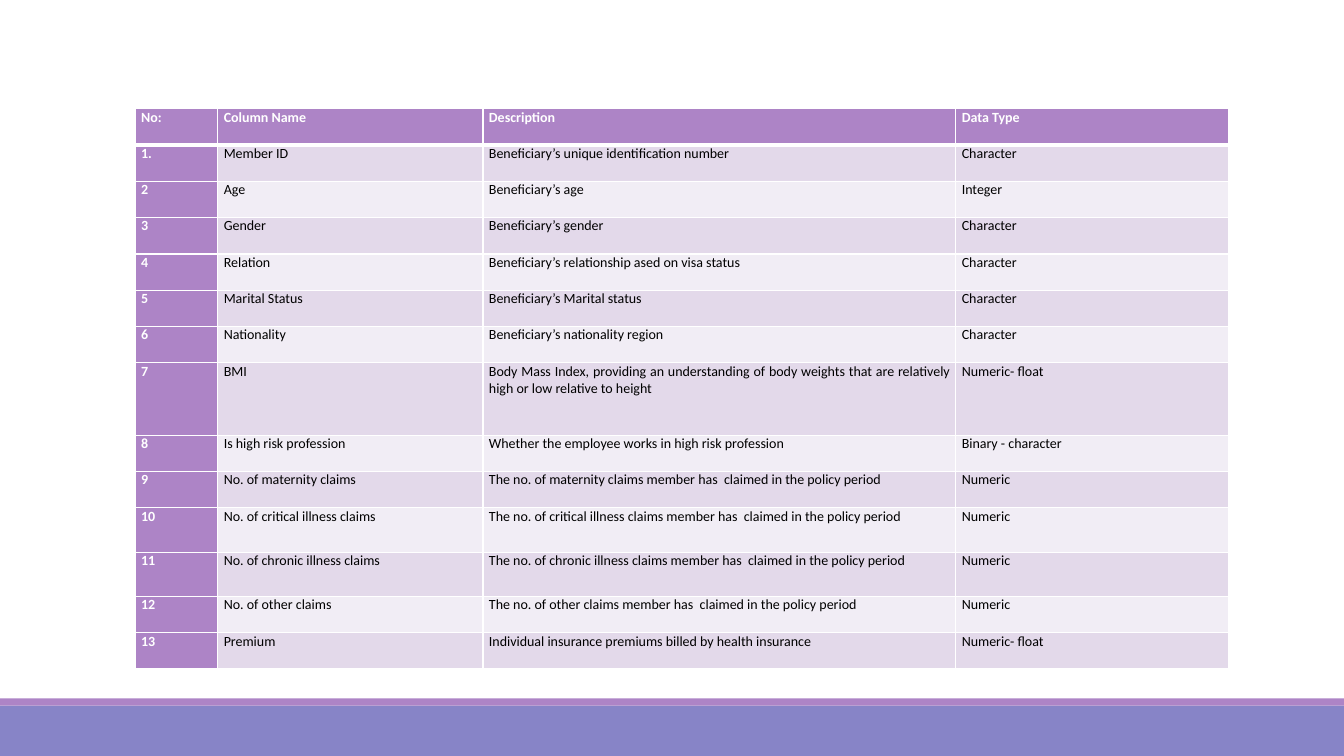
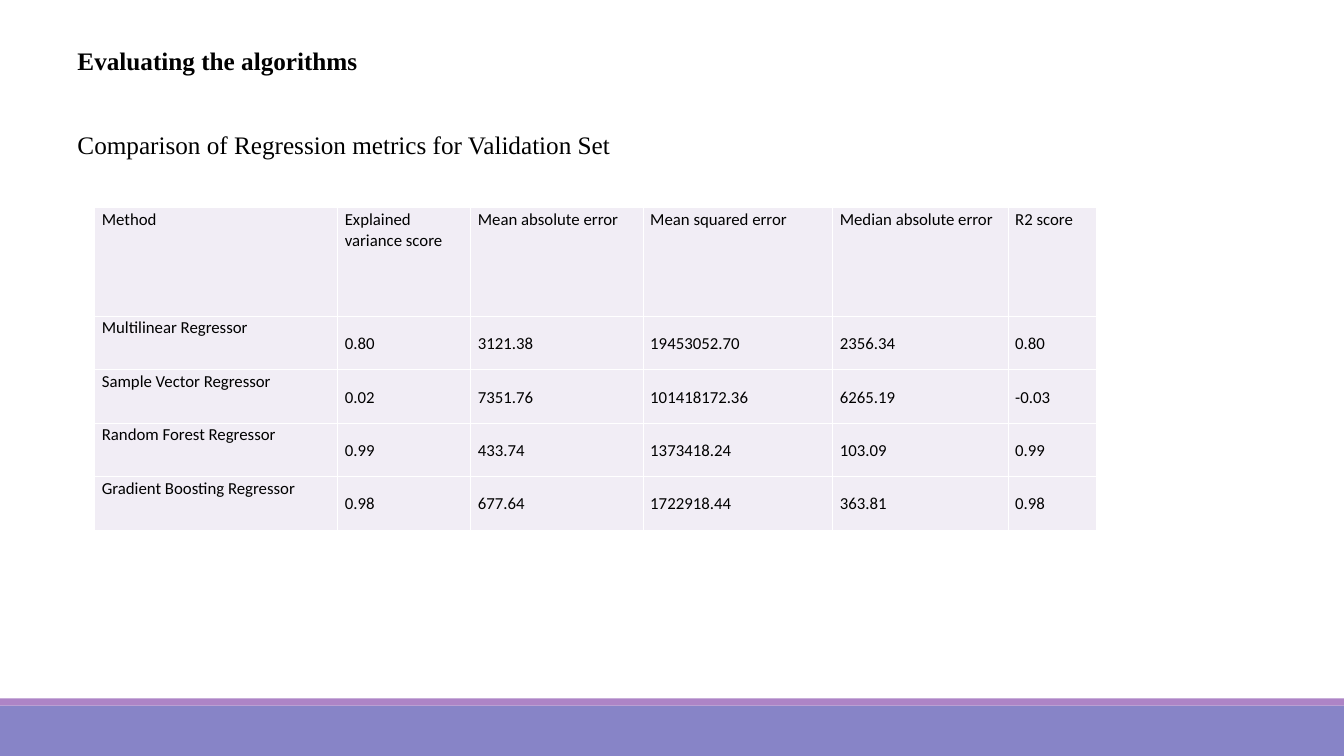
from dataclasses import dataclass

from lxml.etree import SubElement
from pptx import Presentation
from pptx.dml.color import RGBColor
from pptx.enum.shapes import MSO_SHAPE
from pptx.enum.text import MSO_ANCHOR, MSO_AUTO_SIZE, PP_ALIGN
from pptx.oxml.ns import qn
from pptx.util import Inches, Pt


@dataclass(frozen=True)
class Theme:
    violet: str = "AD84C6"
    indigo: str = "8784C7"
    lilac: str = "E3D9EA"
    pale: str = "F1EDF5"
    white: str = "FFFFFF"
    black: str = "000000"
    body_font: str = "Calibri"
    heading_font: str = "Times New Roman"
    heading_size: int = 18
    metrics_size: int = 12
    dictionary_size: int = 10
    grid_width: int = 1
    header_rule: int = 3


THEME = Theme()
SLIDE_WIDTH, SLIDE_HEIGHT = 13.33, 7.5
FOOTER_BANDS = [(7, 0.5, THEME.indigo), (6.93, 0.07, THEME.violet)]

DATA_DICTIONARY = [
    ("No:", "Column Name", "Description", "Data Type"),
    ("1.", "Member ID", "Beneficiary’s unique identification number", "Character"),
    ("2", "Age", "Beneficiary’s age", "Integer"),
    ("3", "Gender", "Beneficiary’s gender", "Character"),
    ("4", "Relation", "Beneficiary’s relationship ased on visa status", "Character"),
    ("5", "Marital Status", "Beneficiary’s Marital status", "Character"),
    ("6", "Nationality", "Beneficiary’s nationality region", "Character"),
    ("7", "BMI", "Body Mass Index, providing an understanding of body weights "
     "that are relatively high or low relative to height", "Numeric- float"),
    ("8", "Is high risk profession",
     "Whether the employee works in high risk profession", "Binary - character"),
    ("9", "No. of maternity claims",
     "The no. of maternity claims member has  claimed in the policy period", "Numeric"),
    ("10", "No. of critical illness claims",
     "The no. of critical illness claims member has  claimed in the policy period", "Numeric"),
    ("11", "No. of chronic illness claims",
     "The no. of chronic illness claims member has  claimed in the policy period", "Numeric"),
    ("12", "No. of other claims",
     "The no. of other claims member has  claimed in the policy period", "Numeric"),
    ("13", "Premium",
     "Individual insurance premiums billed by health insurance", "Numeric- float"),
]
DICTIONARY_COLUMNS = [0.82, 2.63, 4.69, 2.71]
DICTIONARY_ROW = 0.36
DICTIONARY_TALL_ROWS = {7: 0.72, 10: 0.44, 11: 0.44}

HEADINGS = [
    ("Evaluating the algorithms", 0.4, 3.89, True),
    ("Comparison of Regression metrics for Validation Set", 1.23, 6.19, False),
]
METRICS = [
    ("Method", "Explained variance score", "Mean absolute error",
     "Mean squared error", "Median absolute error", "R2 score"),
    ("Multilinear Regressor", "0.80", "3121.38", "19453052.70", "2356.34", "0.80"),
    ("Sample Vector Regressor", "0.02", "7351.76", "101418172.36", "6265.19", "-0.03"),
    ("Random Forest Regressor", "0.99", "433.74", "1373418.24", "103.09", "0.99"),
    ("Gradient Boosting Regressor", "0.98", "677.64", "1722918.44", "363.81", "0.98"),
]
METRICS_COLUMNS = [2.41, 1.32, 1.71, 1.88, 1.74, 0.88]
METRICS_ROWS = [1.08] + [0.53] * 4


def color(value):
    return RGBColor.from_string(value)


def style_runs(para, font, size, ink, bold):
    for span in para.runs:
        span.font.name = font
        span.font.size = Pt(size)
        span.font.bold = bold
        span.font.color.rgb = color(ink)


def add_page(deck):
    """Add a blank slide with the two footer bands."""
    page = deck.slides.add_slide(deck.slide_layouts[6])
    for top, height, fill in FOOTER_BANDS:
        band = page.shapes.add_shape(MSO_SHAPE.RECTANGLE, 0, Inches(top),
                                     deck.slide_width, Inches(height))
        band.shadow.inherit = False
        band.fill.solid()
        band.fill.fore_color.rgb = color(fill)
        band.line.fill.background()
    return page


def add_heading(page, text, top, width, bold):
    box = page.shapes.add_textbox(Inches(0.67), Inches(top), Inches(width), Inches(0.4))
    frame = box.text_frame
    frame.word_wrap = True
    frame.auto_size = MSO_AUTO_SIZE.SHAPE_TO_FIT_TEXT
    frame.text = text
    style_runs(frame.paragraphs[0], THEME.heading_font, THEME.heading_size, THEME.black, bold)


def set_borders(cell, top, bottom):
    properties = cell._tc.get_or_add_tcPr()
    widths = {"a:lnL": THEME.grid_width, "a:lnR": THEME.grid_width,
              "a:lnT": top, "a:lnB": bottom}
    for position, (tag, width) in enumerate(widths.items()):
        line = SubElement(properties, qn(tag), w=str(Pt(width)))
        fill = SubElement(line, qn("a:solidFill"))
        SubElement(fill, qn("a:srgbClr"), val=THEME.white)
        properties.insert(position, line)


def add_grid(page, left, top, columns, rows, content, size, inset, look, line_spacing=None):
    """Draw a table; look(row, column) gives fill, ink, bold and anchor."""
    table = page.shapes.add_table(len(rows), len(columns), Inches(left), Inches(top),
                                  Inches(sum(columns)), Inches(sum(rows))).table
    table.first_row = table.horz_banding = False
    for column, width in zip(table.columns, columns):
        column.width = Inches(width)
    for row, height in zip(table.rows, rows):
        row.height = Inches(height)
    for row, values in enumerate(content):
        for column, text in enumerate(values):
            fill, ink, bold, anchor = look(row, column)
            cell = table.cell(row, column)
            cell.margin_left = cell.margin_right = Inches(inset)
            cell.margin_top = cell.margin_bottom = 0
            cell.vertical_anchor = anchor
            cell.fill.solid()
            cell.fill.fore_color.rgb = color(fill)
            cell.text_frame.text = text
            para = cell.text_frame.paragraphs[0]
            para.alignment = PP_ALIGN.JUSTIFY
            para.line_spacing = line_spacing
            style_runs(para, THEME.body_font, size, ink, bold)
            yield cell, row


def dictionary_look(row, column):
    if row == 0 or column == 0:
        return THEME.violet, THEME.white, True, MSO_ANCHOR.TOP
    fill = THEME.lilac if row % 2 else THEME.pale
    return fill, THEME.black, False, MSO_ANCHOR.TOP


def metrics_look(row, column):
    anchor = MSO_ANCHOR.MIDDLE if row and column else MSO_ANCHOR.TOP
    return THEME.pale, THEME.black, False, anchor


def build_dictionary_page(deck):
    page = add_page(deck)
    rows = [DICTIONARY_TALL_ROWS.get(row, DICTIONARY_ROW) for row in range(len(DATA_DICTIONARY))]
    for cell, row in add_grid(page, 1.34, 1.08, DICTIONARY_COLUMNS, rows, DATA_DICTIONARY,
                              THEME.dictionary_size, 0.06, dictionary_look):
        set_borders(cell,
                    THEME.header_rule if row == 1 else THEME.grid_width,
                    THEME.header_rule if row == 0 else THEME.grid_width)


def build_metrics_page(deck):
    page = add_page(deck)
    for heading in HEADINGS:
        add_heading(page, *heading)
    for cell, _ in add_grid(page, 0.94, 2.06, METRICS_COLUMNS, METRICS_ROWS, METRICS,
                            THEME.metrics_size, 0.07, metrics_look, 1.07):
        set_borders(cell, THEME.grid_width, THEME.grid_width)


def main():
    deck = Presentation()
    deck.slide_width = Inches(SLIDE_WIDTH)
    deck.slide_height = Inches(SLIDE_HEIGHT)
    build_dictionary_page(deck)
    build_metrics_page(deck)
    deck.save("out.pptx")


if __name__ == "__main__":
    main()
